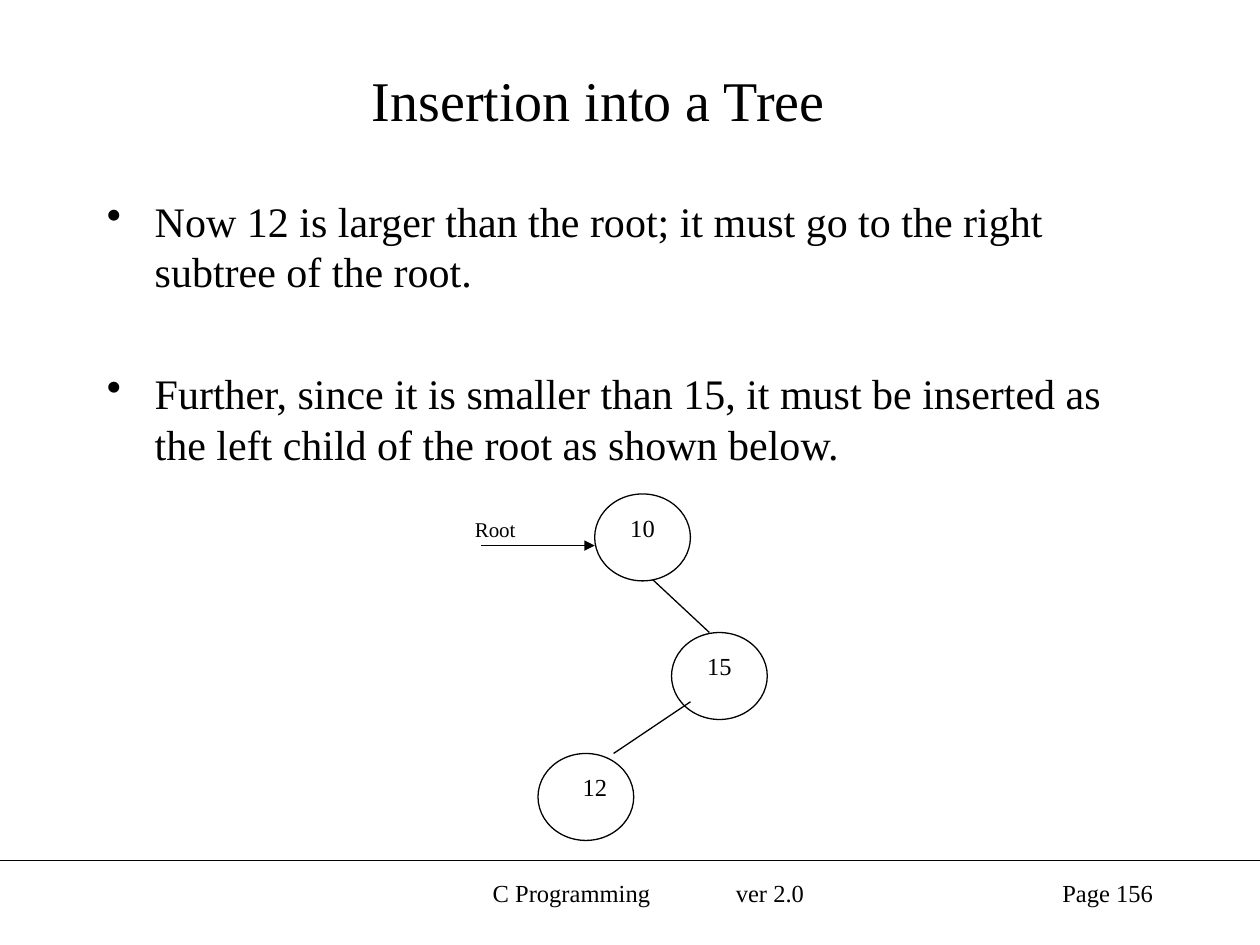
import pptx
import pptx.dml.color
import pptx.enum.shapes
import pptx.enum.text
import pptx.oxml.ns
import pptx.util
import lxml.etree

Inches = pptx.util.Inches
Pt = pptx.util.Pt
qn = pptx.oxml.ns.qn
Align = pptx.enum.text.PP_ALIGN
Anchor = pptx.enum.text.MSO_ANCHOR
Shape = pptx.enum.shapes.MSO_SHAPE


def color(value):
    return pptx.dml.color.RGBColor.from_string(value)


def style(para, size, align=Align.LEFT):
    para.alignment = align
    for run in para.runs:
        run.font.size = Pt(size)
        run.font.name = "Times New Roman"
        run.font.color.rgb = color("000000")


deck = pptx.Presentation()
deck.slide_width = Inches(10)
deck.slide_height = Inches(7.5)
page = deck.slides.add_slide(deck.slide_layouts[5])

title = page.shapes.title
title.left, title.top = Inches(0.5), Inches(0.25)
title.width, title.height = Inches(8.5), Inches(1.08)
title.text_frame.text = "Insertion into a Tree"
title.text_frame.vertical_anchor = Anchor.MIDDLE
style(title.text_frame.paragraphs[0], 32, Align.CENTER)

body = page.shapes.add_textbox(Inches(0.75), Inches(1.5), Inches(8.5), Inches(2.4))
body.text_frame.word_wrap = True
body.text_frame.text = (
    "Now 12 is larger than the root; it must go to the right subtree of the root.\n"
    "Further, since it is smaller than 15, it must be inserted as the left child "
    "of the root as shown below."
)
for para in body.text_frame.paragraphs:
    properties = para._p.get_or_add_pPr()
    properties.set("marL", str(Inches(0.38)))
    properties.set("indent", str(-Inches(0.38)))
    lxml.etree.SubElement(properties, qn("a:buChar"), char="•")
    style(para, 24)
body.text_frame.paragraphs[1].space_before = Pt(41)

footers = [
    ("C Programming\tver 2.0", 3.42, 3.42, 0.49, Align.LEFT),
    ("Page 156", 7.17, 2.08, 0.1, Align.RIGHT),
]
for text, left, width, inset, align in footers:
    footer = page.shapes.add_textbox(Inches(left), Inches(6.92), Inches(width), Inches(0.5))
    footer.text_frame.word_wrap = True
    footer.text_frame.margin_left = Inches(inset)
    footer.text_frame.text = text
    para = footer.text_frame.paragraphs[0]
    if "\t" in text:
        tabs = lxml.etree.SubElement(para._p.get_or_add_pPr(), qn("a:tabLst"))
        lxml.etree.SubElement(tabs, qn("a:tab"), pos=str(Inches(1.93)), algn="l")
    style(para, 14, align)

lines = [
    (0, 6.83, 10, 6.83, False),
    (3.82, 4.33, 4.72, 4.33, True),
    (5.18, 4.6, 5.63, 5.02, False),
    (5.48, 5.57, 4.87, 5.98, False),
]
connectors = []
for x1, y1, x2, y2, arrow in lines:
    connector = page.shapes.add_connector(
        pptx.enum.shapes.MSO_CONNECTOR.STRAIGHT,
        Inches(x1), Inches(y1), Inches(x2), Inches(y2),
    )
    connector.line.color.rgb = color("000000")
    connector.line.width = Pt(0.75)
    if arrow:
        lxml.etree.SubElement(connector.line._get_or_add_ln(), qn("a:tailEnd"), type="triangle")
    lxml.etree.SubElement(connector._element.spPr, qn("a:effectLst"))
    connectors.append(connector)

nodes = [
    ("10", Shape.OVAL, 4.72, 3.92, 0.69, 14, Align.CENTER),
    ("Root", Shape.RECTANGLE, 3.67, 4.05, 0.27, 12, Align.LEFT),
    ("15", Shape.OVAL, 5.33, 5.02, 0.69, 14, Align.CENTER),
    ("12", Shape.OVAL, 4.27, 5.98, 0.69, 14, Align.RIGHT),
]
for text, kind, left, top, height, size, align in nodes:
    node = page.shapes.add_shape(kind, Inches(left), Inches(top), Inches(0.76), Inches(height))
    node.shadow.inherit = False
    node.fill.solid()
    node.fill.fore_color.rgb = color("FFFFFF")
    if kind == Shape.OVAL:
        node.line.color.rgb = color("000000")
        node.line.width = Pt(0.75)
    else:
        node.line.fill.background()
    node.text_frame.vertical_anchor = Anchor.TOP
    node.text_frame.text = text
    style(node.text_frame.paragraphs[0], size, align)

left_branch = connectors[-1]
page.shapes._spTree.append(left_branch._element)

deck.save("out.pptx")
